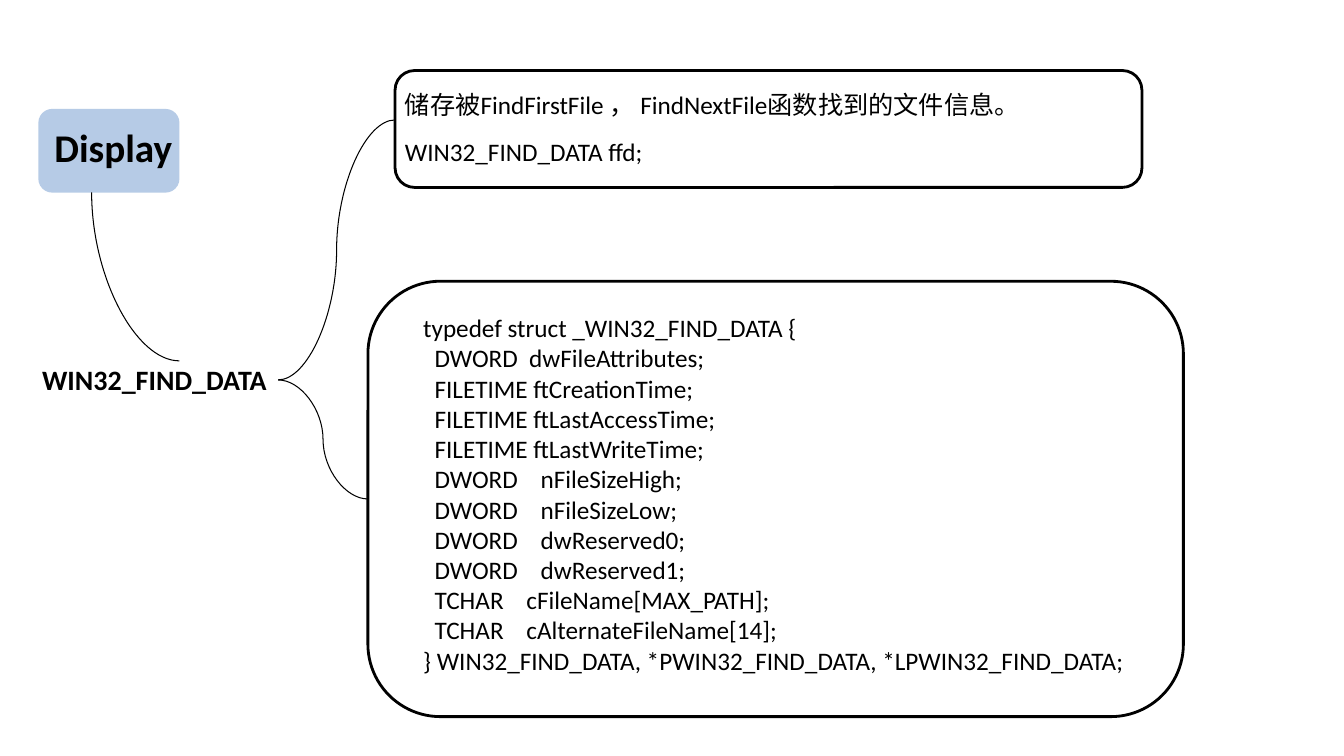
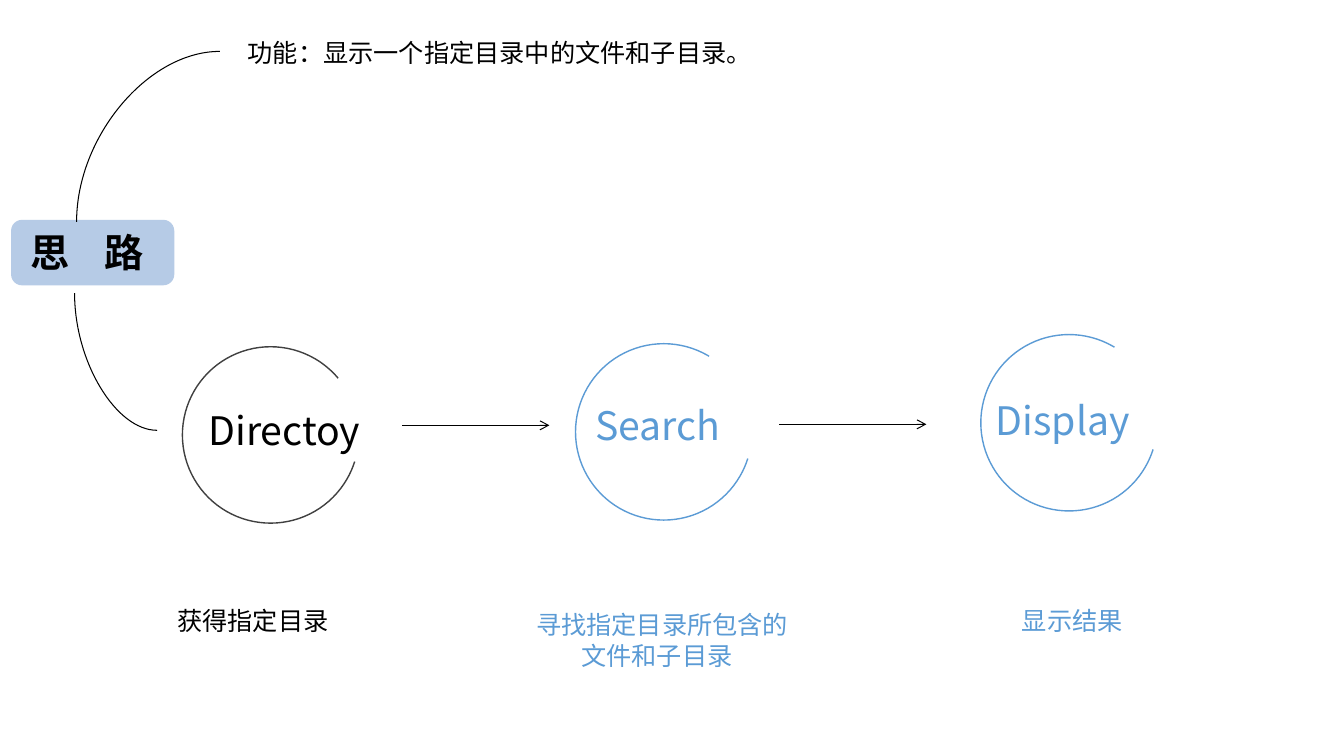
"""Build two slides on listing directories with WIN32_FIND_DATA."""
from dataclasses import dataclass

from lxml import etree
from pptx import Presentation
from pptx.dml.color import RGBColor
from pptx.enum.shapes import MSO_CONNECTOR, MSO_SHAPE
from pptx.enum.text import MSO_ANCHOR, MSO_AUTO_SIZE, PP_ALIGN
from pptx.oxml.ns import qn
from pptx.util import Pt

ROUND, ARC = MSO_SHAPE.ROUNDED_RECTANGLE, MSO_SHAPE.ARC
STRAIGHT, CURVE = MSO_CONNECTOR.STRAIGHT, MSO_CONNECTOR.CURVE
LEFT, TOP, MIDDLE = PP_ALIGN.LEFT, MSO_ANCHOR.TOP, MSO_ANCHOR.MIDDLE
NO_FIT = MSO_AUTO_SIZE.NONE
TITLE_ONLY = 5

COLORS = {"ink": "000000", "badge": "B6CBE6", "blue": "5B9BD5", "gray": "404040"}
BODY_FONT, STEP_FONT = "Calibri", "Noto Sans CJK SC"
ARC_UNIT = 0.6
RING = 126
STRUCT = """typedef struct _WIN32_FIND_DATA {
  DWORD  dwFileAttributes;
  FILETIME ftCreationTime;
  FILETIME ftLastAccessTime;
  FILETIME ftLastWriteTime;
  DWORD    nFileSizeHigh;
  DWORD    nFileSizeLow;
  DWORD    dwReserved0;
  DWORD    dwReserved1;
  TCHAR    cFileName[MAX_PATH];
  TCHAR    cAlternateFileName[14];
} WIN32_FIND_DATA, *PWIN32_FIND_DATA, *LPWIN32_FIND_DATA;"""


@dataclass(frozen=True)
class Box:
    x: float
    y: float
    w: float
    h: float

    def emu(self) -> tuple:
        return Pt(self.x), Pt(self.y), Pt(self.w), Pt(self.h)


@dataclass(frozen=True)
class Label:
    text: str
    box: Box
    size: int = 18
    color: str = "ink"
    bold: bool = False
    font: str = BODY_FONT
    last_indent: float = 0


@dataclass(frozen=True)
class Link:
    x1: float
    y1: float
    x2: float
    y2: float
    kind: int = CURVE
    quarter: bool = False
    arrow: bool = False


@dataclass(frozen=True)
class Ring:
    x: float
    y: float
    end: float
    color: str


def rgb(name: str) -> RGBColor:
    return RGBColor.from_string(COLORS[name])


def write(sp, label: Label, anchor=TOP) -> None:
    tf = sp.text_frame
    tf.word_wrap = True
    tf.auto_size = NO_FIT
    tf.vertical_anchor = anchor
    tf.text = label.text
    for p in tf.paragraphs:
        p.alignment = LEFT
        p.font.name = label.font
        p.font.size = Pt(label.size)
        p.font.bold = label.bold
        p.font.color.rgb = rgb(label.color)
    if label.last_indent:
        pPr = tf.paragraphs[-1]._p.get_or_add_pPr()
        pPr.set("marL", str(Pt(label.last_indent)))


def add_label(s, label: Label) -> None:
    write(s.shapes.add_textbox(*label.box.emu()), label)


def add_outline(s, kind, box: Box, color: str, width: float):
    sp = s.shapes.add_shape(kind, *box.emu())
    sp.shadow.inherit = False
    sp.fill.background()
    sp.line.color.rgb = rgb(color)
    sp.line.width = Pt(width)
    return sp


def add_ring(s, ring: Ring) -> None:
    sp = add_outline(s, ARC, Box(ring.x, ring.y, RING, RING), ring.color, 1)
    sp.adjustments[0] = 17.6 * ARC_UNIT
    sp.adjustments[1] = ring.end * ARC_UNIT


def add_link(s, link: Link) -> None:
    ends = (Pt(v) for v in (link.x1, link.y1, link.x2, link.y2))
    c = s.shapes.add_connector(link.kind, *ends)
    c.line.color.rgb = rgb("ink")
    c.line.width = Pt(0.75)
    spPr = c._element.spPr
    if link.quarter:
        spPr.find(qn("a:prstGeom")).set("prst", "curvedConnector2")
    if link.arrow:
        etree.SubElement(c.line._get_or_add_ln(), qn("a:tailEnd")).set("type", "arrow")
    etree.SubElement(spPr, qn("a:effectLst"))


def add_titled_slide(prs, title: Label, badge: Box, spacing: float = 0):
    s = prs.slides.add_slide(prs.slide_layouts[TITLE_ONLY])
    sp = s.shapes.add_shape(ROUND, *badge.emu())
    sp.shadow.inherit = False
    sp.fill.solid()
    sp.fill.fore_color.rgb = rgb("badge")
    sp.line.fill.background()
    t = s.shapes.title
    t.left, t.top, t.width, t.height = title.box.emu()
    write(t, title, MIDDLE)
    if spacing:
        r = t.text_frame.paragraphs[0].runs[0]
        r._r.get_or_add_rPr().set("spc", str(round(spacing * 100)))
    s.shapes._spTree.append(t._element)
    return s


def build_struct_slide(prs) -> None:
    title = Label("Display", Box(31.7, 84.2, 113, 41), 28, bold=True)
    s = add_titled_slide(prs, title, Box(27.4, 77.8, 100.8, 59.8))
    for box in (Box(282.2, 50.4, 533.5, 83.5), Box(262.8, 200.9, 582.5, 311)):
        add_outline(s, ROUND, box, "ink", 2)
    for label in (
        Label("WIN32_FIND_DATA", Box(23, 255.6, 175.7, 31.7), 20, bold=True),
        Label("储存被FindFirstFile ， FindNextFile函数找到的文件信息。",
              Box(282.2, 60.5, 594, 50.4)),
        Label("WIN32_FIND_DATA ffd;", Box(282.2, 93.6, 385, 28.8)),
        Label(STRUCT, Box(295.2, 219.6, 558, 266.4)),
    ):
        add_label(s, label)
    for link in (
        Link(128.2, 257.8, 65.5, 137.5, quarter=True),
        Link(198.7, 271.4, 282.2, 85.7),
        Link(198.7, 271.4, 262.8, 356.4),
    ):
        add_link(s, link)


def build_idea_slide(prs) -> None:
    title = Label("思 路", Box(14.4, 159.1, 105.1, 41), 28, bold=True)
    s = add_titled_slide(prs, title, Box(7.9, 157, 116.6, 46.8), spacing=9.5)
    for ring in (
        Ring(130.3, 247.7, 320, "gray"),
        Ring(411.1, 245.5, 301, "blue"),
        Ring(700.6, 239, 301, "blue"),
    ):
        add_ring(s, ring)
    for label in (
        Label("功能：显示一个指定目录中的文件和子目录。", Box(169.9, 23, 390, 28.8)),
        Label("Directoy", Box(141.8, 286.6, 214.6, 41), 28, font=STEP_FONT),
        Label("Search", Box(418.3, 283, 110.9, 41), 28, "blue", font=STEP_FONT),
        Label("Display", Box(704.2, 279.4, 133.9, 41), 28, "blue", font=STEP_FONT),
        Label("获得指定目录", Box(119.5, 429.1, 137, 28.8)),
        Label("寻找指定目录所包含的\n文件和子目录", Box(375.8, 432, 209, 50.4),
              color="blue", last_indent=32.4),
        Label("显示结果", Box(722.9, 429.1, 100, 28.8), color="blue"),
    ):
        add_label(s, label)
    for link in (
        Link(157, 36.7, 54.7, 158.4, quarter=True),
        Link(112.3, 307.4, 53.3, 209.5, quarter=True),
        Link(287.3, 303.8, 392.4, 303.8, STRAIGHT, arrow=True),
        Link(556.6, 303.1, 661.7, 303.1, STRAIGHT, arrow=True),
    ):
        add_link(s, link)


def main() -> None:
    prs = Presentation()
    prs.slide_width, prs.slide_height = Pt(960), Pt(540)
    build_struct_slide(prs)
    build_idea_slide(prs)
    prs.save("out.pptx")


if __name__ == "__main__":
    main()
